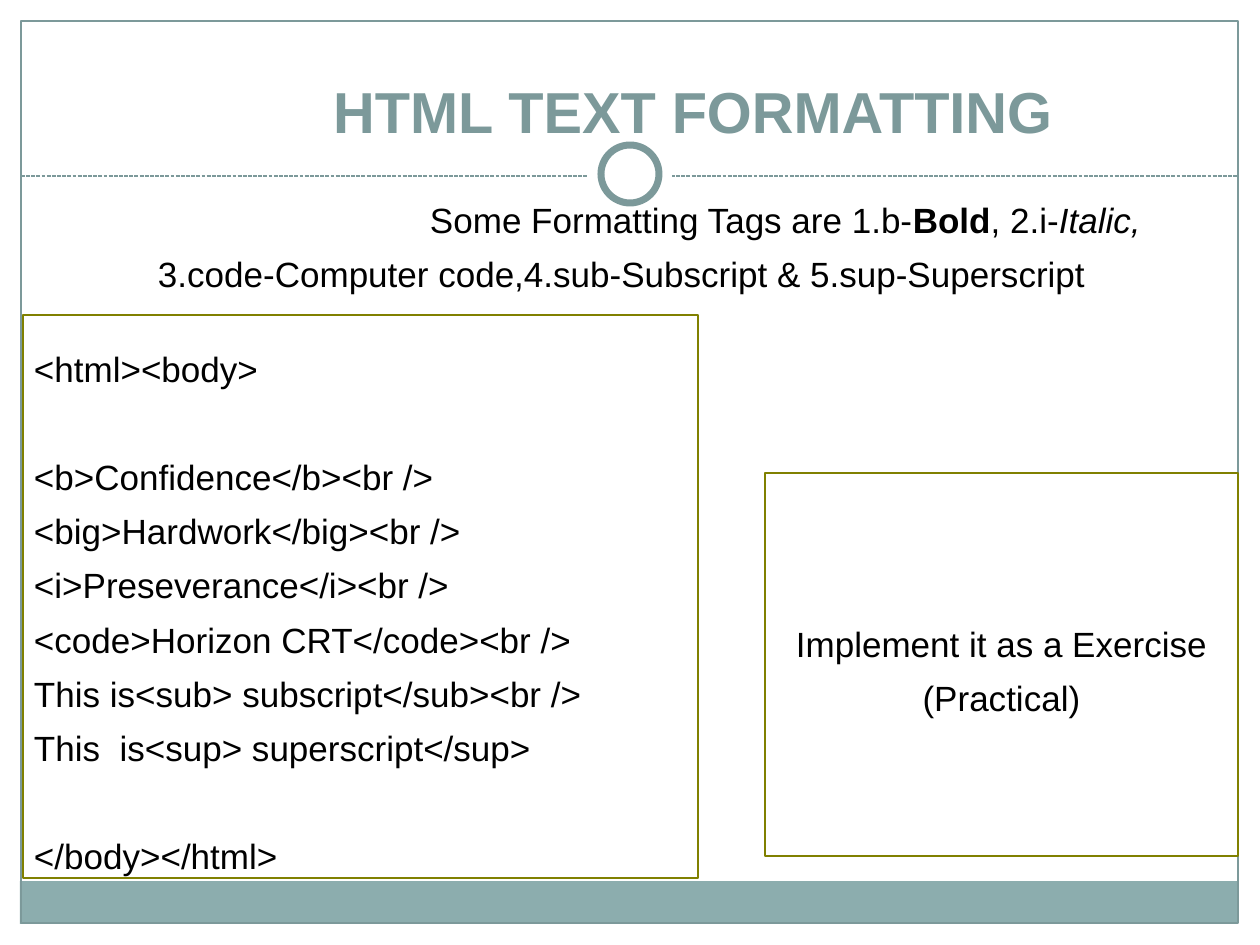
from dataclasses import dataclass
from typing import Optional

from lxml import etree
from pptx import Presentation
from pptx.dml.color import RGBColor
from pptx.enum.dml import MSO_LINE
from pptx.enum.shapes import MSO_CONNECTOR, MSO_SHAPE
from pptx.enum.text import MSO_ANCHOR, PP_ALIGN
from pptx.oxml.ns import qn
from pptx.util import Pt

RECTANGLE, OVAL = MSO_SHAPE.RECTANGLE, MSO_SHAPE.OVAL
STRAIGHT, SHORT_DASH = MSO_CONNECTOR.STRAIGHT, MSO_LINE.SQUARE_DOT
TOP, MIDDLE, BOTTOM = MSO_ANCHOR.TOP, MSO_ANCHOR.MIDDLE, MSO_ANCHOR.BOTTOM
LEFT, CENTER = PP_ALIGN.LEFT, PP_ALIGN.CENTER

EMU_PER_PX = 914400 / 126
WHITE, BLACK, TEAL, PALE_TEAL, OLIVE = "FFFFFF", "000000", "7C999A", "8CADAE", "808000"
LINE_SPACING = 1.29
BODY_LINE = 31  # height of one body line in points
BODY = {"size": Pt(20), "name": "Arial", "bold": False, "italic": False}
HEADING = {**BODY, "size": Pt(33), "bold": True}


@dataclass(frozen=True)
class Box:
    left: int
    top: int
    width: int
    height: int


@dataclass(frozen=True)
class Panel:
    box: Box
    fill: Optional[str] = None
    line: Optional[str] = None
    weight: float = 0.75
    kind: int = RECTANGLE


@dataclass(frozen=True)
class Run:
    text: str
    format: dict


@dataclass(frozen=True)
class Line:
    runs: tuple
    space_before: int = 0
    indent: int = 0


@dataclass(frozen=True)
class TextBlock:
    lines: tuple
    color: str = BLACK
    align: int = LEFT
    anchor: int = TOP
    wrap: bool = True


def px(value: int) -> int:
    return round(value * EMU_PER_PX)


def place(box: Box) -> tuple:
    return px(box.left), px(box.top), px(box.width), px(box.height)


def rgb(color: str) -> RGBColor:
    return RGBColor.from_string(color)


def body_line(text: str, space_before: int = 0) -> Line:
    return Line((Run(text, BODY),), space_before)


def draw_panel(slide, panel: Panel):
    shape = slide.shapes.add_shape(panel.kind, *place(panel.box))
    shape.shadow.inherit = False
    if panel.fill:
        shape.fill.solid()
        shape.fill.fore_color.rgb = rgb(panel.fill)
    else:
        shape.fill.background()
    if panel.line:
        shape.line.color.rgb = rgb(panel.line)
        shape.line.width = Pt(panel.weight)
    else:
        shape.line.fill.background()
    return shape


def draw_divider(slide, left: int, right: int, top: int) -> None:
    connector = slide.shapes.add_connector(STRAIGHT, px(left), px(top), px(right), px(top))
    connector.line.color.rgb = rgb(TEAL)
    connector.line.width = Pt(0.75)
    connector.line.dash_style = SHORT_DASH
    etree.SubElement(connector._element.spPr, qn("a:effectLst"))


def write_text(shape, block: TextBlock) -> None:
    frame = shape.text_frame
    frame_format = {
        "word_wrap": block.wrap, "vertical_anchor": block.anchor,
        "margin_left": px(11), "margin_right": px(11),
        "margin_top": px(6), "margin_bottom": px(6),
    }
    for name, value in frame_format.items():
        setattr(frame, name, value)
    for index, line in enumerate(block.lines):
        paragraph = frame.add_paragraph() if index else frame.paragraphs[0]
        paragraph.alignment = block.align
        paragraph.line_spacing = LINE_SPACING
        paragraph.space_before = Pt(line.space_before)
        if line.indent:
            paragraph._p.get_or_add_pPr().set("indent", str(px(line.indent)))
        for part in line.runs:
            run = paragraph.add_run()
            run.text = part.text
            run.font.color.rgb = rgb(block.color)
            for name, value in part.format.items():
                setattr(run.font, name, value)


def draw_text(slide, box: Box, block: TextBlock) -> None:
    write_text(slide.shapes.add_textbox(*place(box)), block)


def main() -> None:
    presentation = Presentation()
    presentation.slide_width, presentation.slide_height = px(1260), px(945)
    slide = presentation.slides.add_slide(presentation.slide_layouts[6])

    # Frame, footer band and ring on the dashed divider
    draw_panel(slide, Panel(Box(20, 881, 1217, 43), PALE_TEAL))
    draw_panel(slide, Panel(Box(21, 21, 1217, 902), line=TEAL))
    draw_divider(slide, 21, 1239, 176)
    draw_panel(slide, Panel(Box(588, 132, 84, 84), WHITE, kind=OVAL))
    draw_panel(slide, Panel(Box(601, 145, 58, 58), WHITE, TEAL, 4, OVAL))

    # Title
    title = Line((Run("HTML TEXT FORMATTING", HEADING),))
    draw_text(slide, Box(147, 5, 1092, 146), TextBlock((title,), TEAL, CENTER, BOTTOM))

    # Code sample
    draw_panel(slide, Panel(Box(23, 315, 675, 563), WHITE, OLIVE))
    code = (
        body_line("<html><body>"),
        body_line("<b>Confidence</b><br />", BODY_LINE),
        body_line("<big>Hardwork</big><br />"),
        body_line("<i>Preseverance</i><br />"),
        body_line("<code>Horizon CRT</code><br />"),
        body_line("This is<sub> subscript</sub><br />"),
        body_line("This  is<sup> superscript</sup>"),
        body_line("</body></html>", BODY_LINE),
    )
    draw_text(slide, Box(23, 329, 871, 581), TextBlock(code))

    # List of tags
    tags = Line((
        Run("Some Formatting Tags are 1.b-", BODY),
        Run("Bold", {**BODY, "bold": True}),
        Run(", 2.i-", BODY),
        Run("Italic, ", {**BODY, "italic": True}),
        Run("3.code-Computer code,4.sub-Subscript & 5.sup-Superscript", BODY),
    ), indent=272)
    draw_text(slide, Box(147, 180, 1090, 118), TextBlock((tags,)))

    # Exercise
    exercise = draw_panel(slide, Panel(Box(765, 473, 473, 383), WHITE, OLIVE))
    task = (body_line("Implement it as a Exercise"), body_line("(Practical)"))
    write_text(exercise, TextBlock(task, align=CENTER, anchor=MIDDLE, wrap=False))

    presentation.save("out.pptx")


if __name__ == "__main__":
    main()
